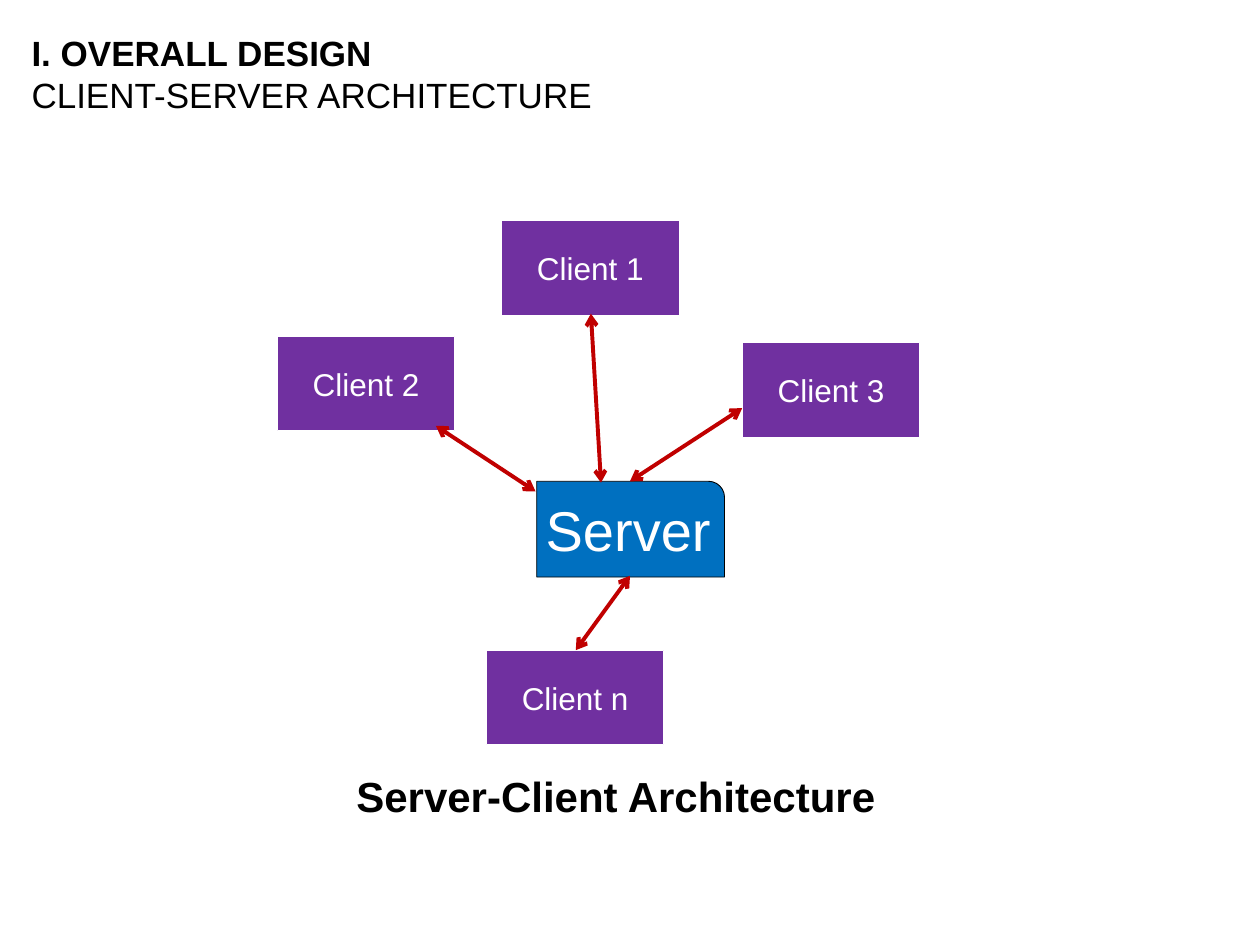
from dataclasses import dataclass

from lxml.etree import SubElement
from pptx import Presentation
from pptx.dml.color import RGBColor
from pptx.enum.shapes import MSO_CONNECTOR, MSO_SHAPE
from pptx.enum.text import MSO_ANCHOR, MSO_AUTO_SIZE, PP_ALIGN
from pptx.oxml.ns import qn
from pptx.util import Inches, Pt


@dataclass(frozen=True)
class Theme:
    font: str = "Arial"
    ink: str = "000000"
    paper: str = "FFFFFF"
    client: str = "7030A0"
    server: str = "0070C0"
    link: str = "C00000"
    heading_size: int = 20
    client_size: int = 18
    server_size: int = 32
    caption_size: int = 24
    outline: float = 0.5
    link_width: float = 2.25


class Diagram:
    def __init__(self, slide, theme):
        self.slide = slide
        self.theme = theme

    def add_text(self, paragraph, text, size, color, bold=False):
        run = paragraph.add_run()
        run.text = text
        run.font.name = self.theme.font
        run.font.size = Pt(size)
        run.font.bold = bold
        run.font.color.rgb = RGBColor.from_string(color)

    def title(self, lines, left, top, width, height):
        heading = self.slide.shapes.title
        heading.left, heading.top = Inches(left), Inches(top)
        heading.width, heading.height = Inches(width), Inches(height)
        frame = heading.text_frame
        frame.word_wrap = True
        frame.auto_size = MSO_AUTO_SIZE.NONE
        frame.vertical_anchor = MSO_ANCHOR.MIDDLE
        for index, (text, bold) in enumerate(lines):
            paragraph = frame.add_paragraph() if index else frame.paragraphs[0]
            paragraph.alignment = PP_ALIGN.LEFT
            paragraph.line_spacing = 1.0
            paragraph.space_before = Pt(0)
            self.add_text(paragraph, text, self.theme.heading_size, self.theme.ink, bold)

    def node(self, preset, text, box, fill, outline, size):
        node = self.slide.shapes.add_shape(preset, *map(Inches, box))
        node.shadow.inherit = False
        node.fill.solid()
        node.fill.fore_color.rgb = RGBColor.from_string(fill)
        node.line.color.rgb = RGBColor.from_string(outline)
        node.line.width = Pt(self.theme.outline)
        frame = node.text_frame
        frame.word_wrap = False
        frame.vertical_anchor = MSO_ANCHOR.MIDDLE
        label = frame.paragraphs[0]
        label.alignment = PP_ALIGN.CENTER
        self.add_text(label, text, size, self.theme.paper)

    def link(self, start, end):
        link = self.slide.shapes.add_connector(
            MSO_CONNECTOR.STRAIGHT, *map(Inches, (*start, *end))
        )
        link.line.color.rgb = RGBColor.from_string(self.theme.link)
        link.line.width = Pt(self.theme.link_width)
        properties = link._element.spPr
        outline = properties.find(qn("a:ln"))
        for arrowhead in ("a:headEnd", "a:tailEnd"):
            SubElement(outline, qn(arrowhead), type="arrow")
        SubElement(properties, qn("a:effectLst"))

    def caption(self, text, left, top, width, height):
        caption = self.slide.shapes.add_textbox(*map(Inches, (left, top, width, height)))
        frame = caption.text_frame
        frame.word_wrap = False
        frame.auto_size = MSO_AUTO_SIZE.SHAPE_TO_FIT_TEXT
        self.add_text(frame.paragraphs[0], text, self.theme.caption_size, self.theme.ink, True)


def main():
    presentation = Presentation()
    presentation.slide_width, presentation.slide_height = Inches(10), Inches(7.5)
    theme = Theme()
    diagram = Diagram(presentation.slides.add_slide(presentation.slide_layouts[5]), theme)

    diagram.title(
        [("I. OVERALL DESIGN", True), ("CLIENT-SERVER ARCHITECTURE", False)],
        0.15, 0.26, 9, 0.64,
    )

    client_size = (1.41, 0.75)
    clients = {
        "Client 2": (2.2, 2.67),
        "Client 1": (3.98, 1.75),
        "Client 3": (5.89, 2.72),
        "Client n": (3.86, 5.16),
    }
    for name, corner in clients.items():
        diagram.node(
            MSO_SHAPE.RECTANGLE, name, corner + client_size,
            theme.client, theme.paper, theme.client_size,
        )
    diagram.node(
        MSO_SHAPE.ROUND_1_RECTANGLE, "Server", (4.26, 3.82, 1.49, 0.76),
        theme.server, theme.ink, theme.server_size,
    )

    links = [
        ((3.46, 3.38), (4.25, 3.9)),
        ((4.69, 2.49), (4.77, 3.83)),
        ((5.89, 3.24), (5, 3.82)),
        ((5, 4.57), (4.57, 5.16)),
    ]
    for start, end in links:
        diagram.link(start, end)

    diagram.caption("Server-Client Architecture", 2.73, 6.07, 4.32, 0.5)
    presentation.save("out.pptx")


if __name__ == "__main__":
    main()
